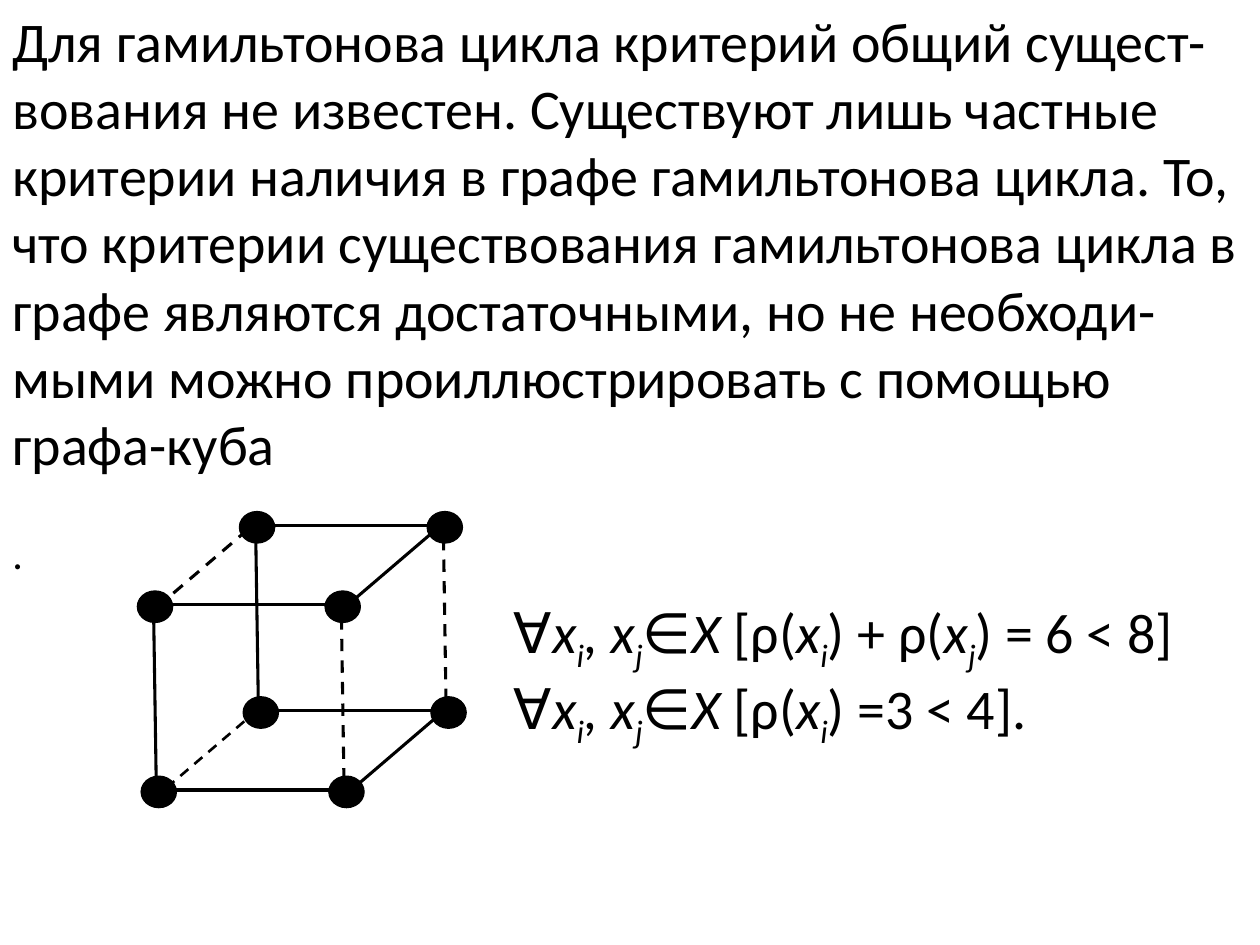
import dataclasses
import itertools

import pptx
import pptx.dml.color
import pptx.enum.dml
import pptx.enum.shapes
import pptx.enum.text
import pptx.oxml
import pptx.oxml.ns
import pptx.util

EMU_PER_PX = 9144  # 100 px to the inch


@dataclasses.dataclass(frozen=True)
class Theme:
    ink: pptx.dml.color.RGBColor = pptx.dml.color.RGBColor(0, 0, 0)
    paper: pptx.dml.color.RGBColor = pptx.dml.color.RGBColor(255, 255, 255)
    font: str = "Calibri"
    body_size: int = 32
    mark_size: int = 24
    edge_width: float = 1.75
    thin_edge_width: float = 1.5
    vertex_outline: float = 0.75


THEME = Theme()

STATEMENT = (
    "Для гамильтонова цикла критерий общий сущест-вования не известен. "
    "Существуют лишь частные критерии наличия в графе гамильтонова цикла. "
    "То, что критерии существования гамильтонова цикла в графе являются "
    "достаточными, но не необходи-мыми можно проиллюстрировать с помощью "
    "графа-куба"
)

# Each run is (text, style): "" upright, "i" italic, "sub" italic subscript.
X_I = [("x", "i"), ("i", "sub")]
X_J = [("x", "i"), ("j", "sub")]
FOR_ALL_PAIRS = [("∀", ""), *X_I, (", ", "i"), *X_J, ("∈", ""), ("X ", "i"), ("[ρ(", ""), *X_I]
CONDITIONS = [
    [*FOR_ALL_PAIRS, (") + ρ(", ""), *X_J, (") = 6 < 8]", "")],
    [*FOR_ALL_PAIRS, (") =3 < 4].", "")],
]


def px(*lengths):
    return [pptx.util.Emu(length * EMU_PER_PX) for length in lengths]


def add_text(slide, box, paragraphs, size=THEME.body_size, color=THEME.ink):
    """Write paragraphs, each a list of (text, style) runs, into a wrapping box."""
    frame = slide.shapes.add_textbox(*px(*box)).text_frame
    frame.word_wrap = True
    frame.auto_size = pptx.enum.text.MSO_AUTO_SIZE.SHAPE_TO_FIT_TEXT
    for index, runs in enumerate(paragraphs):
        paragraph = frame.add_paragraph() if index else frame.paragraphs[0]
        for text, style in runs:
            run = paragraph.add_run()
            run.text = text
            run.font.name = THEME.font
            run.font.size = pptx.util.Pt(size)
            run.font.color.rgb = color
            run.font.italic = style in ("i", "sub")
            if style == "sub":
                run.font._element.set("baseline", "-25000")


def add_vertex(shapes, left, top):
    vertex = shapes.add_shape(pptx.enum.shapes.MSO_SHAPE.OVAL, *px(left, top, 28, 25))
    vertex.shadow.inherit = False
    vertex.fill.solid()
    vertex.fill.fore_color.rgb = THEME.ink
    vertex.line.color.rgb = THEME.ink
    vertex.line.width = pptx.util.Pt(THEME.vertex_outline)


def add_edge(shapes, start, end, dashed=False, width=THEME.edge_width):
    edge = shapes.add_connector(
        pptx.enum.shapes.MSO_CONNECTOR.STRAIGHT, *px(*start, *end)
    )
    edge.line.color.rgb = THEME.ink
    edge.line.width = pptx.util.Pt(width)
    if dashed:
        edge.line.dash_style = pptx.enum.dml.MSO_LINE.DASH
    edge._element.spPr.append(
        pptx.oxml.parse_xml(f"<a:effectLst {pptx.oxml.ns.nsdecls('a')}/>")
    )


def add_cube_graph(slide, left, top):
    """Draw a cube's vertices and edges; dashed edges are off the Hamiltonian cycle."""
    shapes = slide.shapes.add_group_shape().shapes

    def corner(right, low, back, dx=0, dy=0):
        return (
            left + 149 * right + 3 * low + 81 * back + dx,
            top + 63 * (1 - back) + 147 * low + dy,
        )

    for position in itertools.product((0, 1), repeat=3):
        add_vertex(shapes, *corner(*position))

    for first, second in itertools.product((0, 1), repeat=2):
        # Upright edges: first is right, second is back.
        add_edge(
            shapes,
            corner(first, 0, second, 13, 21),
            corner(first, 1, second, 12, 4),
            dashed=first == 1,
        )
        # Level edges: first is low, second is back.
        add_edge(
            shapes,
            corner(0, first, second, 15, 11),
            corner(1, first, second, 11, 11),
        )
        # Receding edges: first is right, second is low.
        shift, lift = (5, 4) if first != second else (0, 0)
        add_edge(
            shapes,
            corner(first, second, 1, 7 + shift, 14 - lift),
            corner(first, second, 0, 19 + shift, 10 - lift),
            dashed=first == 0,
            width=THEME.thin_edge_width if (first, second) == (0, 1) else THEME.edge_width,
        )


def build_slide(presentation):
    slide = presentation.slides.add_slide(presentation.slide_layouts[6])
    slide.background.fill.solid()
    slide.background.fill.fore_color.rgb = THEME.paper
    add_text(slide, (0, 0, 1000, 387), [[(STATEMENT, "")]])
    add_cube_graph(slide, 109, 406)
    add_text(slide, (398, 469, 555, 118), CONDITIONS)
    add_text(slide, (0, 414, 1000, 50), [[(".", "")]], size=THEME.mark_size)


def main():
    presentation = pptx.Presentation()
    presentation.slide_width, presentation.slide_height = px(1000, 750)
    build_slide(presentation)
    presentation.save("out.pptx")


if __name__ == "__main__":
    main()
